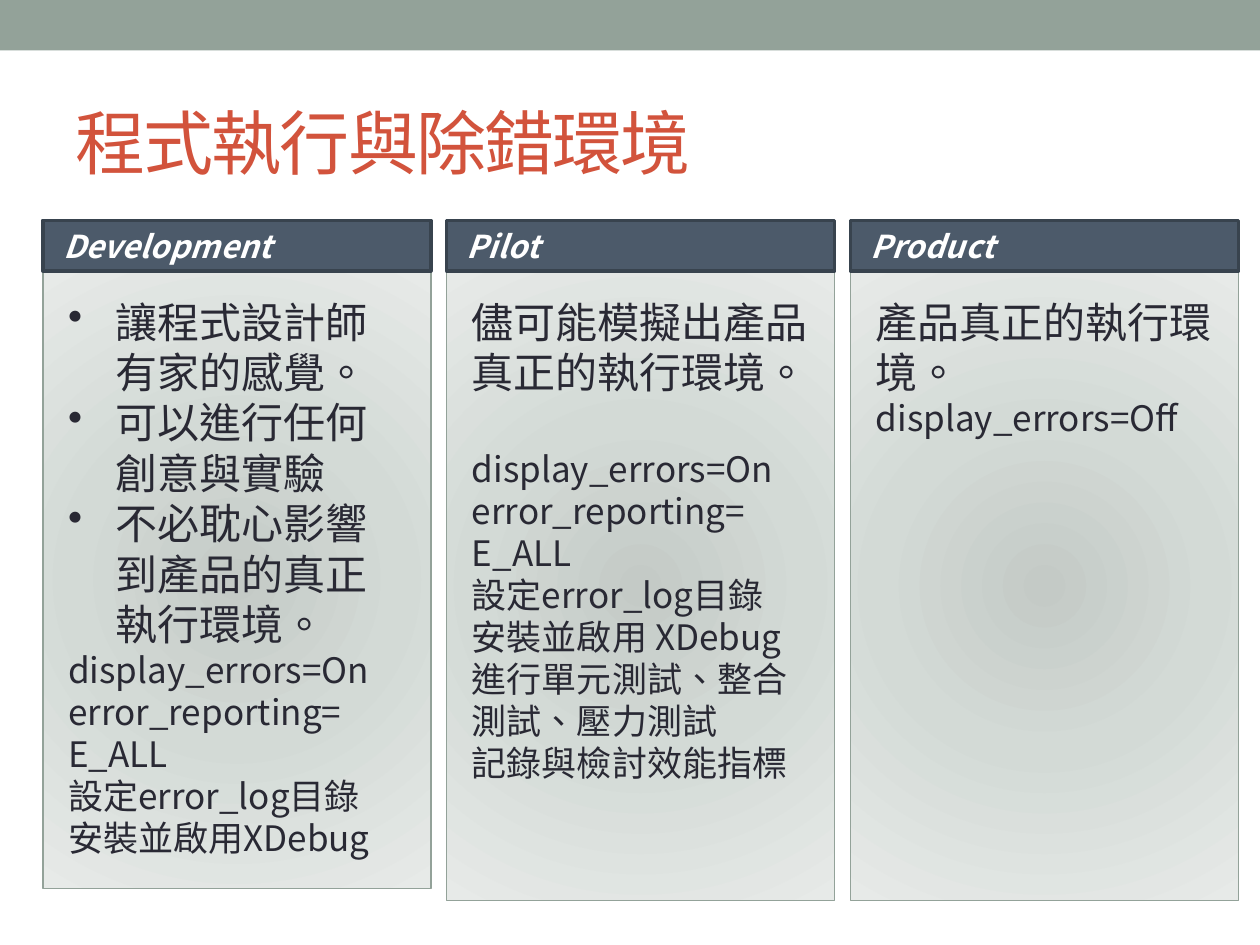
from lxml import etree
from pptx import Presentation
from pptx.dml.color import RGBColor
from pptx.enum.shapes import MSO_SHAPE
from pptx.enum.text import MSO_ANCHOR, PP_ALIGN
from pptx.oxml import parse_xml
from pptx.oxml.ns import qn
from pptx.util import Inches, Pt

RECTANGLE = MSO_SHAPE.RECTANGLE
MIDDLE, TOP = MSO_ANCHOR.MIDDLE, MSO_ANCHOR.TOP
LEFT = PP_ALIGN.LEFT
DRAWING_NS = "http://schemas.openxmlformats.org/drawingml/2006/main"

# Content: each column has a heading, a panel height and (style, text) paragraphs
TITLE = "程式執行與除錯環境"
COLUMNS = [
    ("Development", 4.9, [
        ("bullet", "讓程式設計師有家的感覺。"),
        ("bullet", "可以進行任何創意與實驗"),
        ("bullet", "不必耽心影響到產品的真正執行環境。"),
        ("detail", "display_errors=On"),
        ("detail", "error_reporting=\nE_ALL"),
        ("detail", "設定error_log目錄"),
        ("detail", "安裝並啟用XDebug"),
    ]),
    ("Pilot", 5, [
        ("lead", "儘可能模擬出產品真正的執行環境。"),
        ("spaced", "display_errors=On"),
        ("detail", "error_reporting=\nE_ALL"),
        ("detail", "設定error_log目錄"),
        ("detail", "安裝並啟用 XDebug"),
        ("detail", "進行單元測試、整合測試、壓力測試"),
        ("detail", "記錄與檢討效能指標"),
    ]),
    ("Product", 5, [
        ("lead", "產品真正的執行環境。"),
        ("detail", "display_errors=Off"),
    ]),
]
SIZES = {"bullet": 24, "lead": 24, "detail": 20, "spaced": 20}

# Look and layout
BODY_FONT, TITLE_FONT = "Noto Sans CJK SC", "Arial"
LANGUAGE = "zh-TW"
SAGE, RED, INK, WHITE = "93A299", "D2533C", "292934", "FFFFFF"
SLATE, SLATE_EDGE = "4C5A6A", "38434E"
GRADIENT = [(0, "C4CAC6"), (45, "D3DAD6"), (100, "E7EAE8")]
FIRST_LEFT, COLUMN_STEP, COLUMN_WIDTH = 0.34, 3.205, 3.08
HEADING_TOP, HEADING_HEIGHT = 1.75, 0.4
BULLET_INDENT = Inches(0.38)


def color(hex_value):
    return RGBColor.from_string(hex_value)


def add_box(slide, left, top, width, height, fill=None, line=None, line_width=0.75):
    shape = slide.shapes.add_shape(
        RECTANGLE, Inches(left), Inches(top), Inches(width), Inches(height))
    shape.shadow.inherit = False
    if fill:
        shape.fill.solid()
        shape.fill.fore_color.rgb = color(fill)
    if line:
        shape.line.color.rgb = color(line)
        shape.line.width = Pt(line_width)
    else:
        shape.line.fill.background()
    return shape


def set_radial_fill(shape):
    stops = "".join(
        f'<a:gs pos="{position * 1000}"><a:srgbClr val="{value}"/></a:gs>'
        for position, value in GRADIENT)
    gradient = parse_xml(
        f'<a:gradFill xmlns:a="{DRAWING_NS}" rotWithShape="1"><a:gsLst>{stops}</a:gsLst>'
        '<a:path path="circle"><a:fillToRect l="100000" t="100000" r="100000" b="100000"/>'
        '</a:path></a:gradFill>')
    shape.fill.background()
    properties = shape.element.spPr
    properties.replace(properties.find(qn("a:noFill")), gradient)


def set_frame(frame, anchor, left, top, right, bottom):
    frame.word_wrap = True
    frame.vertical_anchor = anchor
    frame.margin_left, frame.margin_top = Inches(left), Inches(top)
    frame.margin_right, frame.margin_bottom = Inches(right), Inches(bottom)


def write(paragraph, text, size, text_color, font=BODY_FONT):
    paragraph.text = text
    paragraph.alignment = LEFT
    paragraph.font.name = font
    paragraph.font.size = Pt(size)
    paragraph.font.color.rgb = color(text_color)
    defaults = paragraph._p.pPr.find(qn("a:defRPr"))
    etree.SubElement(defaults, qn("a:ea")).set("typeface", BODY_FONT)
    # Traditional Chinese centres its punctuation
    defaults.set("lang", LANGUAGE)
    for run in paragraph.runs:
        run.font._element.set("lang", LANGUAGE)
    return defaults


def add_bullet(paragraph, defaults):
    properties = paragraph._p.pPr
    properties.set("marL", str(BULLET_INDENT))
    properties.set("indent", str(-BULLET_INDENT))
    bullet = etree.Element(qn("a:buChar"))
    bullet.set("char", "•")
    defaults.addprevious(bullet)


def add_panel(slide, left, height, lines):
    panel = add_box(slide, left, HEADING_TOP + HEADING_HEIGHT, COLUMN_WIDTH, height, line=SAGE)
    set_radial_fill(panel)
    frame = panel.text_frame
    set_frame(frame, TOP, 0.2, 0.2, 0.2, 0.2)
    for index, (style, text) in enumerate(lines):
        paragraph = frame.add_paragraph() if index else frame.paragraphs[0]
        defaults = write(paragraph, text, SIZES[style], INK)
        if style == "bullet":
            add_bullet(paragraph, defaults)
        if style == "spaced":
            paragraph.space_before = Pt(28.8)


def add_heading(slide, left, text):
    heading = add_box(slide, left, HEADING_TOP, COLUMN_WIDTH, HEADING_HEIGHT,
                      SLATE, SLATE_EDGE, 2.08)
    set_frame(heading.text_frame, MIDDLE, 0.16, 0, 0.1, 0)
    paragraph = heading.text_frame.paragraphs[0]
    write(paragraph, text, 18, WHITE)
    paragraph.font.bold = paragraph.font.italic = True


def main():
    presentation = Presentation()
    presentation.slide_width, presentation.slide_height = Inches(10), Inches(7.5)
    slide = presentation.slides.add_slide(presentation.slide_layouts[6])

    # Top band and title
    add_box(slide, 0, 0, 10, 0.4, SAGE)
    title = slide.shapes.add_textbox(Inches(0.5), Inches(0.58), Inches(9), Inches(1.08))
    set_frame(title.text_frame, MIDDLE, 0.1, 0.05, 0.1, 0.05)
    defaults = write(title.text_frame.paragraphs[0], TITLE, 40, RED, TITLE_FONT)
    defaults.set("spc", "-100")

    # Environment columns
    for index, (heading, height, lines) in enumerate(COLUMNS):
        left = FIRST_LEFT + index * COLUMN_STEP
        add_panel(slide, left, height, lines)
        add_heading(slide, left, heading)

    presentation.save("out.pptx")


if __name__ == "__main__":
    main()
